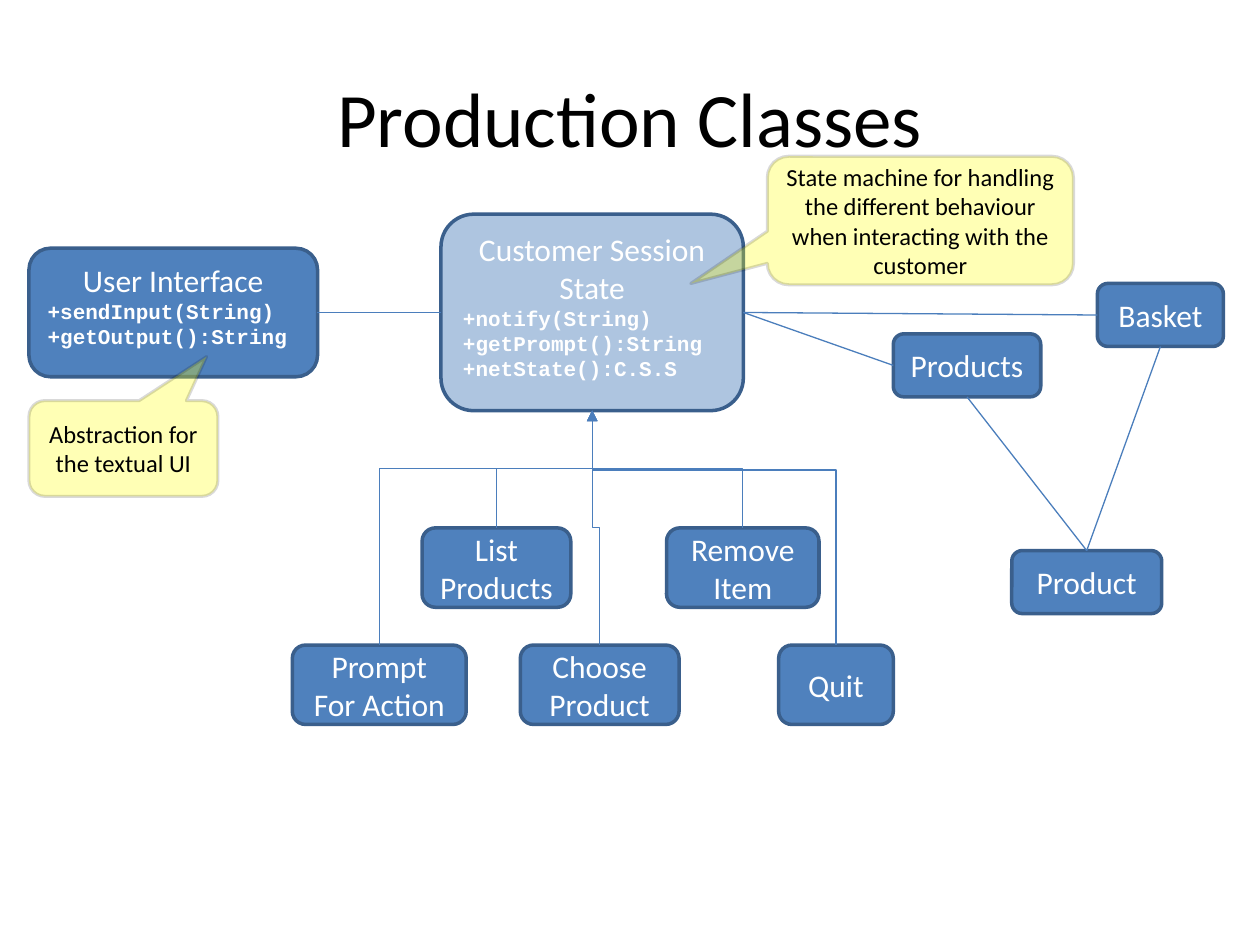
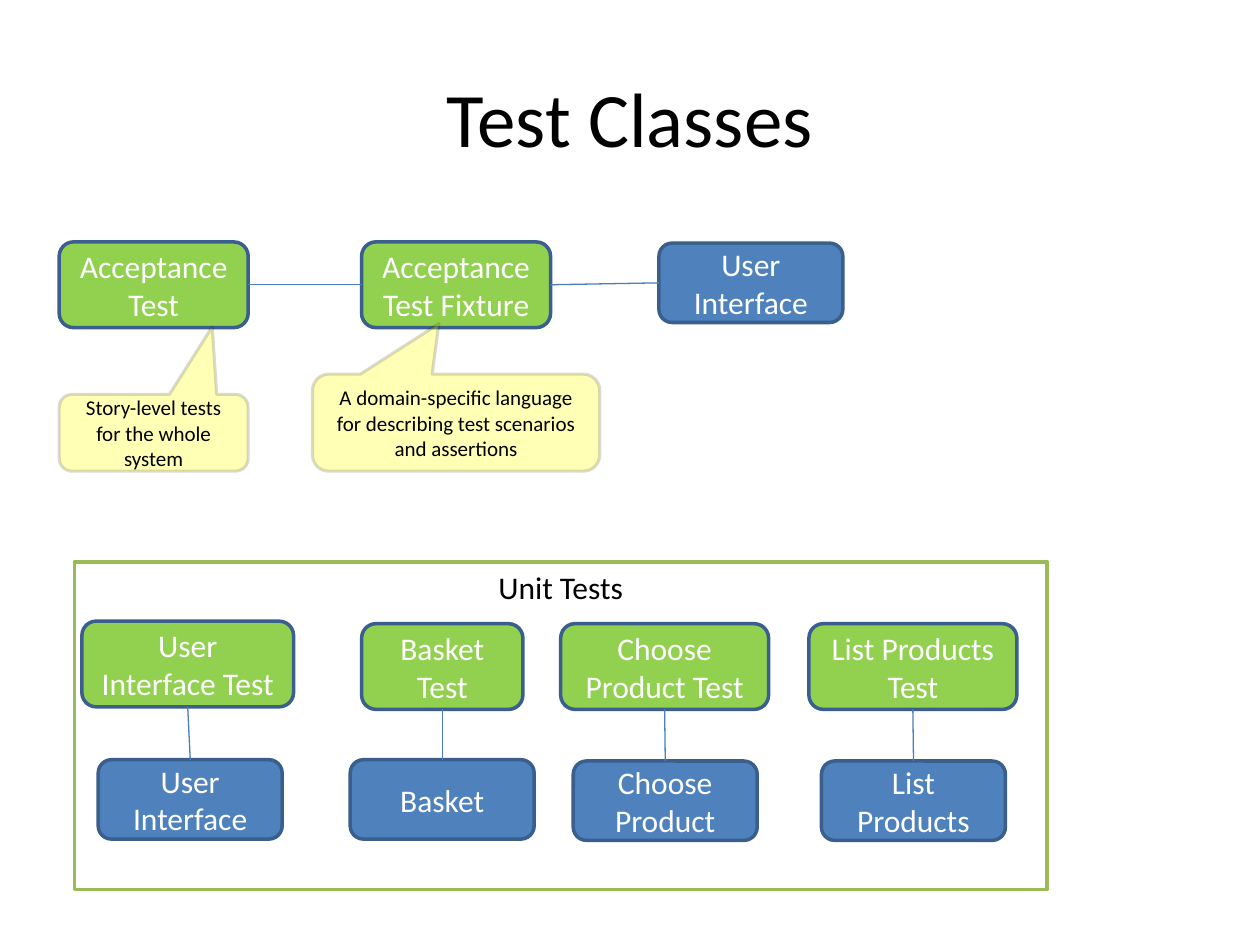
"""Build two class diagram slides: production classes and test classes."""
from lxml import etree
from pptx import Presentation
from pptx.dml.color import RGBColor
from pptx.enum.shapes import MSO_CONNECTOR, MSO_SHAPE
from pptx.enum.text import MSO_ANCHOR, PP_ALIGN
from pptx.oxml.ns import qn
from pptx.util import Inches, Pt

ROUNDED, RECTANGLE = MSO_SHAPE.ROUNDED_RECTANGLE, MSO_SHAPE.RECTANGLE
CALLOUT = MSO_SHAPE.ROUNDED_RECTANGULAR_CALLOUT
STRAIGHT, ELBOW = MSO_CONNECTOR.STRAIGHT, MSO_CONNECTOR.ELBOW
CENTER, LEFT_ALIGN = PP_ALIGN.CENTER, PP_ALIGN.LEFT
MIDDLE, TOP_ANCHOR = MSO_ANCHOR.MIDDLE, MSO_ANCHOR.TOP
TOP, LEFT, BOTTOM, RIGHT = range(4)

WIDTH, HEIGHT = Inches(10), Inches(7.5)
COLUMN, ROW = WIDTH / 100, HEIGHT / 75
BLUE, GREEN, YELLOW = "4F81BD", "92D050", "FFFF00"
EDGE, LINK, FRAME = "3A5F8C", "4B7EBC", "9BBB59"
WHITE, BLACK = "FFFFFF", "000000"
BODY_FONT, CODE_FONT = "Calibri", "Courier New"


def paint(color_owner, color, alpha=100):
    """Set a hex colour, with its opacity in percent, on a fill or line fill."""
    color_owner.solid()
    color_owner.fore_color.rgb = RGBColor.from_string(color)
    if alpha < 100:
        element = color_owner._xPr.find(qn("a:solidFill"))[0]
        etree.SubElement(element, qn("a:alpha")).set("val", str(alpha * 1000))


def grid(left, top, width, height):
    """Turn columns and rows into slide lengths."""
    return (round(left * COLUMN), round(top * ROW),
            round(width * COLUMN), round(height * ROW))


def write(paragraph, text, size=18, color=WHITE, font=BODY_FONT, bold=False,
          align=CENTER):
    """Write formatted text into a paragraph."""
    paragraph.alignment = align
    run = paragraph.add_run()
    run.text = text
    run.font.name, run.font.size, run.font.bold = font, Pt(size), bold
    run.font.color.rgb = RGBColor.from_string(color)


def add_block(shapes, kind, place, text, fill, line, anchor=MIDDLE,
              fill_alpha=100, line_alpha=100, line_width=2, **text_format):
    """Add a filled and outlined shape with its text."""
    shape = shapes.add_shape(kind, *grid(*place))
    shape.shadow.inherit = False
    paint(shape.fill, fill, fill_alpha)
    paint(shape.line.fill, line, line_alpha)
    shape.line.width = Pt(line_width)
    frame = shape.text_frame
    frame.word_wrap, frame.vertical_anchor = True, anchor
    write(frame.paragraphs[0], text, **text_format)
    return shape


def add_class(shapes, place, name, fill=BLUE, methods=(), alpha=100):
    """Add a class box, with its methods listed below its name."""
    box = add_block(shapes, ROUNDED, place, name, fill, EDGE, fill_alpha=alpha,
                    anchor=TOP_ANCHOR if methods else MIDDLE)
    for method in methods:
        write(box.text_frame.add_paragraph(), method, size=12, font=CODE_FONT,
              bold=True, align=LEFT_ALIGN)
    return box


def add_callout(shapes, place, text, pointer, size):
    """Add a translucent note whose pointer is given as shares of its size."""
    note = add_block(shapes, CALLOUT, place, text, YELLOW, BLACK, fill_alpha=29,
                     line_alpha=14, line_width=1.75, size=size, color=BLACK)
    note.adjustments[0], note.adjustments[1] = pointer


def site_point(box, site):
    """Return the middle of one side of a box."""
    across = {LEFT: 0, RIGHT: box.width}.get(site, box.width // 2)
    down = {TOP: 0, BOTTOM: box.height}.get(site, box.height // 2)
    return box.left + across, box.top + down


def add_link(shapes, start, start_site, end, end_site, kind=STRAIGHT):
    """Connect the sides of two boxes with a thin line."""
    link = shapes.add_connector(kind, *site_point(start, start_site),
                                *site_point(end, end_site))
    link.begin_connect(start, start_site)
    link.end_connect(end, end_site)
    paint(link.line.fill, LINK)
    link.line.width = Pt(0.75)
    etree.SubElement(link._element.spPr, qn("a:effectLst"))
    return link


def add_inheritance(shapes, child, parent, bend_row):
    """Add an elbow arrow up from a child that turns at the given row."""
    link = add_link(shapes, child, TOP, parent, BOTTOM, ELBOW)
    start_x, start_y = site_point(child, TOP)
    end_x, end_y = site_point(parent, BOTTOM)
    rise, run = start_y - end_y, abs(end_x - start_x)
    link.left = (start_x + end_x - rise) // 2
    link.top = (start_y + end_y - run) // 2
    link.width, link.height = rise, run
    properties = link._element.spPr
    transform = properties.find(qn("a:xfrm"))
    from_left = start_x < end_x
    transform.set("rot", str((90 if from_left else 270) * 60000))
    transform.set("flipH", "1" if from_left else "0")
    transform.set("flipV", "1")
    guides = properties.find(qn("a:prstGeom")).get_or_add_avLst()
    guide = etree.SubElement(guides, qn("a:gd"))
    guide.set("name", "adj1")
    bend = (start_y - bend_row * ROW) / rise
    guide.set("fmla", f"val {round(bend * 100000)}")
    line = properties.find(qn("a:ln"))
    etree.SubElement(line, qn("a:tailEnd")).set("type", "triangle")


def add_titled_slide(presentation, text):
    """Add a title-only slide and format its title."""
    slide = presentation.slides.add_slide(presentation.slide_layouts[5])
    title = slide.shapes.title
    title.left, title.top, title.width, title.height = grid(5, 3, 90, 12.5)
    title.text_frame.vertical_anchor = MIDDLE
    write(title.text_frame.paragraphs[0], text, size=44, color=BLACK)
    return slide


def build_production_slide(presentation):
    """Draw the production classes and their relations."""
    shapes = add_titled_slide(presentation, "Production Classes").shapes
    interface = add_class(shapes, (2.3, 19.7, 22.9, 10.2), "User Interface",
                          methods=("+sendInput(String)", "+getOutput():String"))
    state = add_class(shapes, (35, 17, 24, 15.6), "Customer Session State",
                      methods=("+notify(String)", "+getPrompt():String",
                               "+netState():C.S.S"), alpha=46)
    upper, lower, bus = 41.9, 51.2, 37.2
    states = (("Prompt For Action", 23.2, lower, 13.8, bus),
              ("Choose Product", 41.3, lower, 12.6, upper),
              ("Quit", 61.8, lower, 9.1, bus + 0.1),
              ("List Products", 33.5, upper, 11.8, bus),
              ("Remove Item", 52.9, upper, 12.1, bus))
    for name, left, top, width, bend_row in states:
        child = add_class(shapes, (left, top, width, 6.3), name)
        add_inheritance(shapes, child, state, bend_row)
    basket = add_class(shapes, (87.1, 22.5, 10, 5), "Basket")
    products = add_class(shapes, (70.9, 26.5, 11.7, 5), "Products")
    product = add_class(shapes, (80.3, 43.7, 11.9, 5), "Product")
    add_link(shapes, interface, RIGHT, state, LEFT)
    for collection in (basket, products):
        add_link(shapes, state, RIGHT, collection, LEFT)
        add_link(shapes, collection, BOTTOM, product, TOP)
    add_callout(shapes, (2.3, 31.8, 15, 7.6), "Abstraction for the textual UI",
                (0.44, -0.96), 14)
    add_callout(shapes, (60.9, 12.4, 24.3, 10.2),
                "State machine for handling the different behaviour "
                "when interacting with the customer", (-0.75, 0.49), 14)


def build_test_slide(presentation):
    """Draw the acceptance tests and the framed group of unit tests."""
    shapes = add_titled_slide(presentation, "Test Classes").shapes
    test = add_class(shapes, (4.7, 19.2, 15, 6.8), "Acceptance Test", GREEN)
    fixture = add_class(shapes, (28.7, 19.2, 15, 6.8),
                        "Acceptance Test Fixture", GREEN)
    interface = add_class(shapes, (52.3, 19.3, 14.6, 6.3), "User Interface")
    add_link(shapes, test, RIGHT, fixture, LEFT)
    add_link(shapes, fixture, RIGHT, interface, LEFT)
    add_callout(shapes, (4.7, 31.3, 15, 6.1),
                "Story-level tests for the whole system", (0.31, -1.38), 12)
    add_callout(shapes, (24.8, 29.7, 22.8, 7.7),
                "A domain-specific language for describing test scenarios "
                "and assertions", (-0.06, -1.02), 12)

    group = shapes.add_group_shape().shapes
    add_block(group, RECTANGLE, (5.9, 44.6, 77.2, 26), "Unit Tests", WHITE, FRAME,
              anchor=TOP_ANCHOR, color=BLACK)
    units = (("User Interface", 6.5, 49.3, 16.8, 7.8, 60.3),
             ("Basket", 28.7, 49.5, 12.8, 27.8, 60.3),
             ("Choose Product", 44.5, 49.5, 16.5, 45.5, 60.4),
             ("List Products", 64.2, 49.5, 16.5, 65.2, 60.4))
    for name, test_left, test_top, test_width, left, top in units:
        unit_test = add_class(group, (test_left, test_top, test_width, 6.8),
                              f"{name} Test", GREEN)
        unit = add_class(group, (left, top, 14.6, 6.3), name)
        add_link(group, unit_test, BOTTOM, unit, TOP)


def main():
    """Build and save the presentation."""
    presentation = Presentation()
    presentation.slide_width, presentation.slide_height = WIDTH, HEIGHT
    build_production_slide(presentation)
    build_test_slide(presentation)
    presentation.save("out.pptx")


main()
